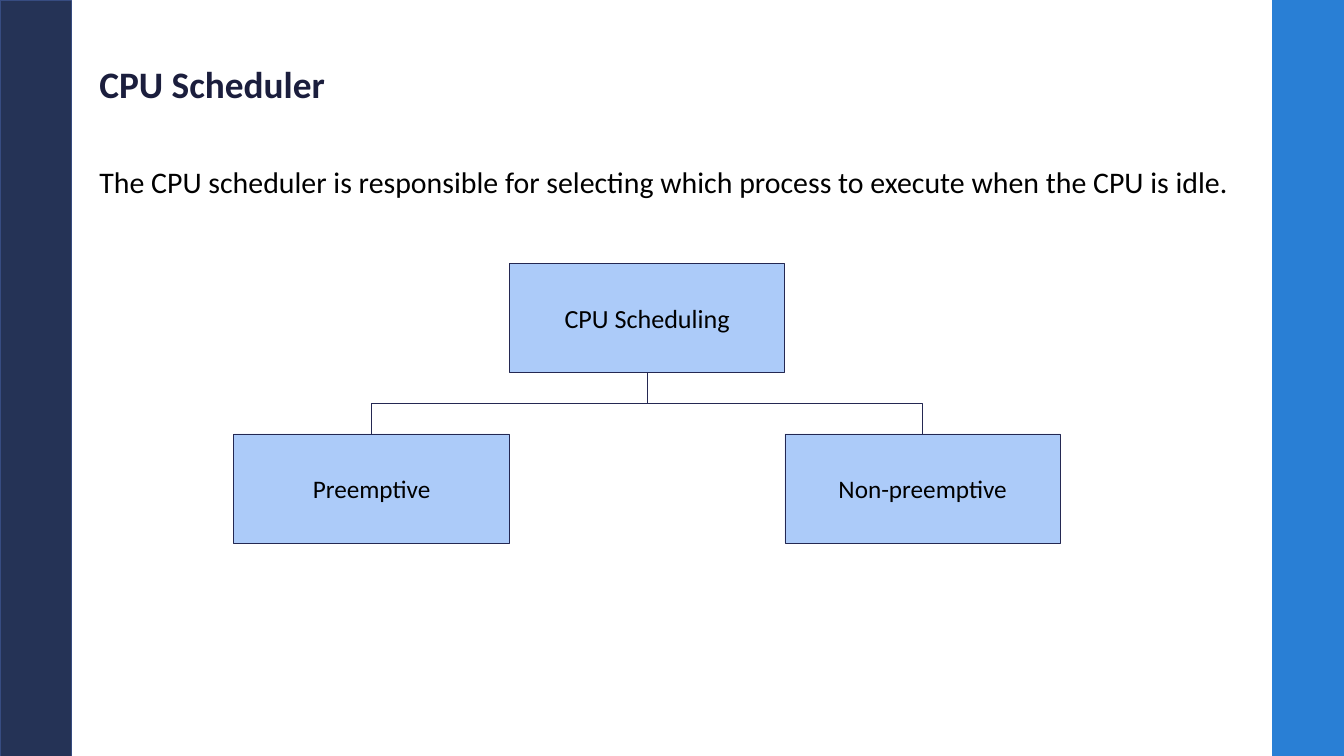
from pptx import Presentation
from pptx.dml.color import RGBColor
from pptx.enum.shapes import MSO_CONNECTOR as Link, MSO_SHAPE as Form
from pptx.enum.text import MSO_ANCHOR as Anchor, PP_ALIGN as Align
from pptx.oxml.ns import qn
from pptx.util import Inches, Pt
from lxml.etree import SubElement

WIDE, HIGH = 20, 11.25
INK = "242852"


def color(code):
    return RGBColor.from_string(code)


def write(frame, text, size, code="000000", bold=False):
    """Add one run to the frame's first paragraph and return the paragraph."""
    frame.word_wrap = True
    para = frame.paragraphs[0]
    run = para.add_run()
    run.text = text
    font = run.font
    font.name, font.size, font.bold = "Calibri", Pt(size), bold
    font.color.rgb = color(code)
    return para


def block(slide, box, fill, line, weight):
    """Draw a filled, outlined rectangle."""
    shape = slide.shapes.add_shape(Form.RECTANGLE, *map(Inches, box))
    shape.shadow.inherit = False
    shape.fill.solid()
    shape.fill.fore_color.rgb = color(fill)
    shape.line.color.rgb = color(line)
    shape.line.width = Pt(weight)
    return shape


def bands(slide, box):
    """Colour the left and right edges of the box."""
    x, y, w, h = box
    side = 0.053 * w
    block(slide, (x, y, side, h), "253356", "374C81", 1)
    block(slide, (x + w - side, y, side, h), "297FD5", "297FD5", 1)


def heading(slide, box):
    """Place the title above the lead sentence."""
    x, y, w, h = box
    title = slide.shapes.add_textbox(*map(Inches, (x, y, w, 0.52 * h)))
    title.text_frame.vertical_anchor = Anchor.MIDDLE
    para = write(title.text_frame, "CPU Scheduler", 40, "1B1E3D", True)
    para.line_spacing = 0.9
    lead = slide.shapes.add_textbox(
        *map(Inches, (x, y + 0.71 * h, w, 0.29 * h)))
    para = write(lead.text_frame, "The CPU scheduler is responsible for "
                 "selecting which process to execute when the CPU is idle.", 32)
    para.line_spacing = 0.9
    para.space_before = Pt(10)


def node(slide, box, text, size):
    shape = block(slide, box, "ACCBF9", INK, 0.75)
    frame = shape.text_frame
    frame.vertical_anchor = Anchor.MIDDLE
    frame.margin_top = frame.margin_bottom = Inches(0.1)
    write(frame, text, size).alignment = Align.CENTER
    return shape


def branch(slide, top, low):
    """Join a parent's bottom to a child's top with a vertical elbow."""
    link = slide.shapes.add_connector(Link.ELBOW, 0, 0, 0, 0)
    link.begin_connect(top, 2)
    link.end_connect(low, 0)
    x1, y1, x2, y2 = link.begin_x, link.begin_y, link.end_x, link.end_y
    # The elbow is stored lying on its side, then turned about its centre.
    run, drop = abs(x2 - x1), y2 - y1
    link.left, link.top = (x1 + x2 - drop) // 2, (y1 + y2 - run) // 2
    link.width, link.height = drop, run
    props = link._element.spPr
    turn = props.find(qn("a:xfrm"))
    right = x2 > x1
    turn.set("rot", str((270 if right else 90) * 60000))
    turn.set("flipH", str(int(right)))
    link.line.color.rgb = color(INK)
    link.line.width = Pt(0.75)
    SubElement(props, qn("a:effectLst"))


def tree(slide, box):
    """Set the root in the middle of three columns, its children outside."""
    x, y, w, h = box
    col, row = w / 3, 0.39 * h
    root = node(slide, (x + col, y, col, row), "CPU Scheduling", 28)
    kids = [node(slide, (x + i * col, y + h - row, col, row), text, 27)
            for i, text in ((0, "Preemptive"), (2, "Non-preemptive"))]
    for kid in reversed(kids):
        branch(slide, root, kid)


def main():
    deck = Presentation()
    deck.slide_width, deck.slide_height = Inches(WIDE), Inches(HIGH)
    slide = deck.slides.add_slide(deck.slide_layouts[6])
    bands(slide, (0, 0, WIDE, HIGH))
    heading(slide, (1.38, 0.6, 17.25, 2.61))
    tree(slide, (3.48, 3.92, 12.3, 4.16))
    deck.save("out.pptx")


if __name__ == "__main__":
    main()
